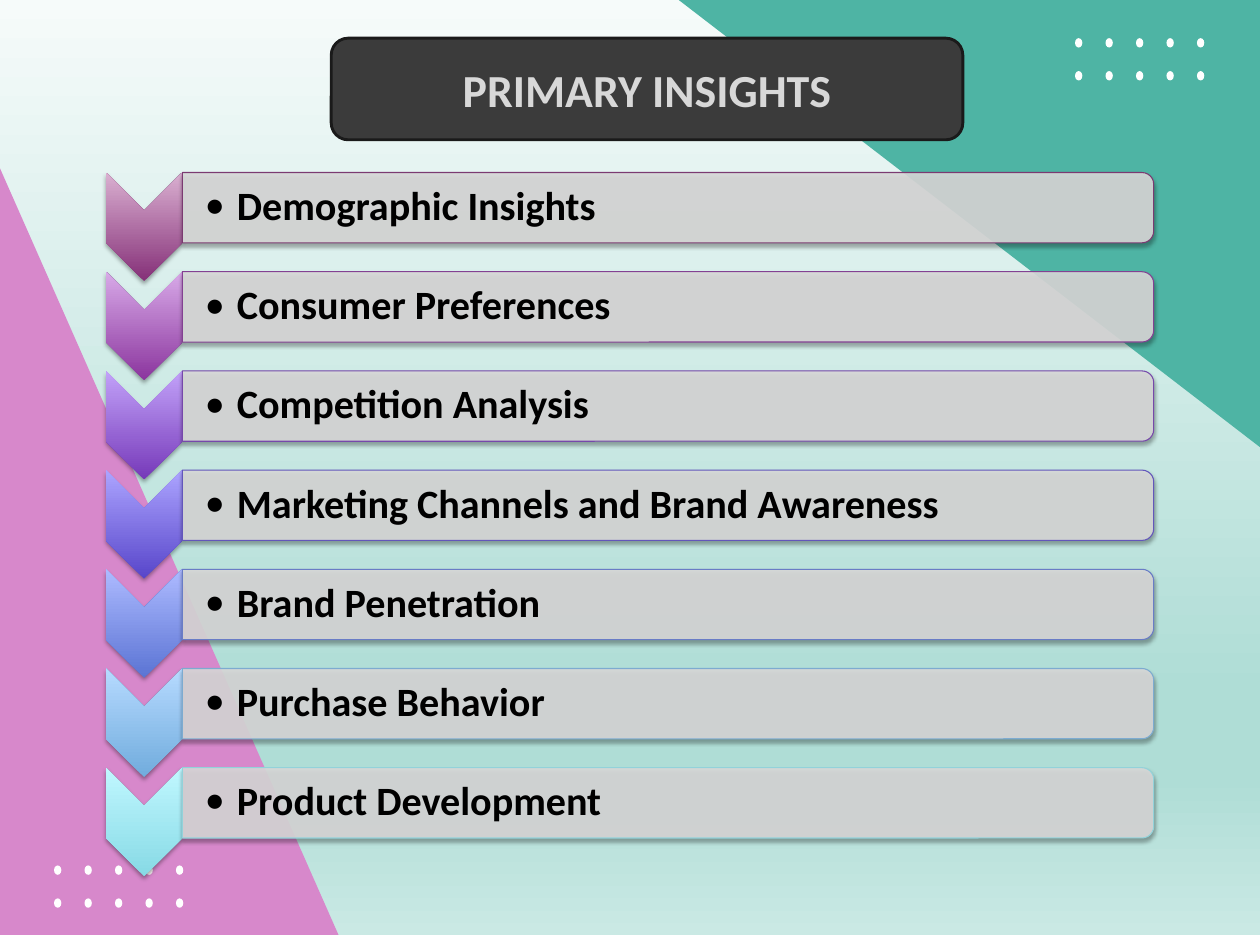
from copy import deepcopy

from lxml import etree
from pptx import Presentation
from pptx.dml.color import RGBColor
from pptx.enum.shapes import MSO_SHAPE
from pptx.enum.text import MSO_ANCHOR, MSO_AUTO_SIZE, PP_ALIGN
from pptx.oxml import parse_xml
from pptx.oxml.ns import nsdecls, qn
from pptx.util import Cm, Pt

TRIANGLE = MSO_SHAPE.RIGHT_TRIANGLE
OVAL = MSO_SHAPE.OVAL
CHEVRON = MSO_SHAPE.CHEVRON
BAR = MSO_SHAPE.ROUND_2_SAME_RECTANGLE
ROUNDED = MSO_SHAPE.ROUNDED_RECTANGLE
MIDDLE = MSO_ANCHOR.MIDDLE
CENTER = PP_ALIGN.CENTER
NO_AUTOFIT = MSO_AUTO_SIZE.NONE

WHITE = RGBColor(0xFF, 0xFF, 0xFF)
BLACK = RGBColor(0x00, 0x00, 0x00)
PINK = RGBColor(0xD7, 0x88, 0xCB)
GREEN = RGBColor(0x4E, 0xB4, 0xA4)
GREY = RGBColor(0xD8, 0xD8, 0xD8)
CHARCOAL = RGBColor(0x3B, 0x3B, 0x3B)
NEAR_BLACK = RGBColor(0x1A, 0x1A, 0x1A)
MINT = RGBColor(0xAF, 0xDD, 0xD6)
BACKGROUND = [(0, RGBColor(0xF6, 0xFB, 0xFA)), (74, MINT), (83, MINT),
              (100, RGBColor(0xCA, 0xE9, 0xE4))]

# Label, dark and light chevron colours, bar outline
INSIGHTS = [
    ("Demographic Insights", RGBColor(0x85, 0x30, 0x78),
     RGBColor(0xDA, 0xB0, 0xD1), RGBColor(0x7B, 0x3A, 0x71)),
    ("Consumer Preferences", RGBColor(0x8B, 0x35, 0x9E),
     RGBColor(0xD8, 0xAA, 0xE8), RGBColor(0x83, 0x41, 0x92)),
    ("Competition Analysis", RGBColor(0x76, 0x39, 0xB9),
     RGBColor(0xC2, 0xA2, 0xF9), RGBColor(0x76, 0x48, 0xAA)),
    ("Marketing Channels and Brand Awareness", RGBColor(0x58, 0x46, 0xCA),
     RGBColor(0xAC, 0xA4, 0xFF), RGBColor(0x63, 0x56, 0xBB)),
    ("Brand Penetration", RGBColor(0x5B, 0x74, 0xD4),
     RGBColor(0xAD, 0xBA, 0xFF), RGBColor(0x69, 0x7C, 0xC6)),
    ("Purchase Behavior", RGBColor(0x71, 0xAC, 0xDD),
     RGBColor(0xB6, 0xDA, 0xFF), RGBColor(0x7D, 0xAB, 0xD0)),
    ("Product Development", RGBColor(0x87, 0xDA, 0xE5),
     RGBColor(0xC0, 0xF7, 0xFF), RGBColor(0x92, 0xD2, 0xDA)),
]
PITCH = 2.44
SHADOW = (f'<a:effectLst {nsdecls("a")}><a:outerShdw blurRad="39370" dist="22860" '
          'dir="5400000" rotWithShape="0"><a:srgbClr val="000000">'
          '<a:alpha val="35000"/></a:srgbClr></a:outerShdw></a:effectLst>')

prs = Presentation()
prs.slide_width, prs.slide_height = Cm(31), Cm(23)
s = prs.slides.add_slide(prs.slide_layouts[5])


def add_shape(kind, left, top, width, height, color=None, rotation=0):
    """Add a shape with no outline or shadow, filled if a colour is given."""
    sp = s.shapes.add_shape(kind, Cm(left), Cm(top), Cm(width), Cm(height))
    sp.rotation = rotation
    sp.line.fill.background()
    sp.shadow.inherit = False
    if color is not None:
        sp.fill.solid()
        sp.fill.fore_color.rgb = color
    return sp


def drop_shadow(sp):
    sp_pr = sp.element.spPr
    sp_pr.replace(sp_pr.find(qn("a:effectLst")), parse_xml(SHADOW))


# Background
fill = s.background.fill
fill.gradient()
fill.gradient_angle = 270
stop_list = s.element.find(".//" + qn("a:gsLst"))
for stop in list(stop_list)[:2]:
    stop_list.append(deepcopy(stop))
for stop, (position, color) in zip(fill.gradient_stops, BACKGROUND):
    stop.position = position / 100
    stop.color.rgb = color

add_shape(TRIANGLE, 0, 4.14, 8.33, 18.86, PINK)
add_shape(TRIANGLE, 16.7, 0, 14.3, 11, GREEN, 180)

# Dot grids
for left, top in [(26.45, 0.94), (1.33, 21.29)]:
    for row in range(2):
        for col in range(5):
            add_shape(OVAL, left + 0.75 * col, top + 0.81 * row, 0.18, 0.23, WHITE)

# Insight rows
for i, (label, dark, light, outline) in enumerate(INSIGHTS):
    y = PITCH * i
    chevron = add_shape(CHEVRON, 2.21, 4.64 + y, 2.67, 1.88, rotation=90)
    chevron.fill.gradient()
    chevron.fill.gradient_angle = 90
    chevron.element.spPr.find(qn("a:gradFill")).set("rotWithShape", "0")
    for stop, color in zip(chevron.fill.gradient_stops, (dark, light)):
        stop.color.rgb = color
    drop_shadow(chevron)

    bar = add_shape(BAR, 15.57, -6.84 + y, 1.73, 23.9, GREY, 90)
    bar_color = bar.element.spPr.find(".//" + qn("a:srgbClr"))
    etree.SubElement(bar_color, qn("a:alpha")).set("val", "90000")
    bar.line.color.rgb = outline
    bar.line.width = Pt(0.75)
    drop_shadow(bar)

    tf = s.shapes.add_textbox(Cm(4.48), Cm(4.32 + y), Cm(23.83), Cm(1.57)).text_frame
    tf.word_wrap = True
    tf.vertical_anchor = MIDDLE
    tf.margin_left = Cm(0.56)
    tf.margin_right = tf.margin_top = tf.margin_bottom = Cm(0.05)
    p = tf.paragraphs[0]
    p_pr = p._p.get_or_add_pPr()
    p_pr.set("marL", str(Cm(0.79)))
    p_pr.set("indent", str(-Cm(0.79)))
    etree.SubElement(p_pr, qn("a:buFont")).set("typeface", "Calibri")
    etree.SubElement(p_pr, qn("a:buChar")).set("char", "•")
    p.line_spacing = 0.9
    p.space_after = Pt(4)
    r = p.add_run()
    r.text = label
    for name, value in {"name": "Calibri", "size": Pt(28), "bold": True}.items():
        setattr(r.font, name, value)
    r.font.color.rgb = BLACK

# Title on its rounded panel
panel = add_shape(ROUNDED, 8.15, 0.94, 15.54, 2.5, CHARCOAL)
panel.line.color.rgb = NEAR_BLACK
panel.line.width = Pt(2)
title = s.shapes.title
title.left, title.top, title.width, title.height = (
    panel.left, panel.top, panel.width, panel.height)
s.shapes._spTree.append(title.element)
tf = title.text_frame
tf.auto_size = NO_AUTOFIT
tf.vertical_anchor = MIDDLE
p = tf.paragraphs[0]
p.alignment = CENTER
r = p.add_run()
r.text = "PRIMARY INSIGHTS"
for name, value in {"name": "Calibri", "size": Pt(32), "bold": True}.items():
    setattr(r.font, name, value)
r.font.color.rgb = GREY

prs.save("out.pptx")
